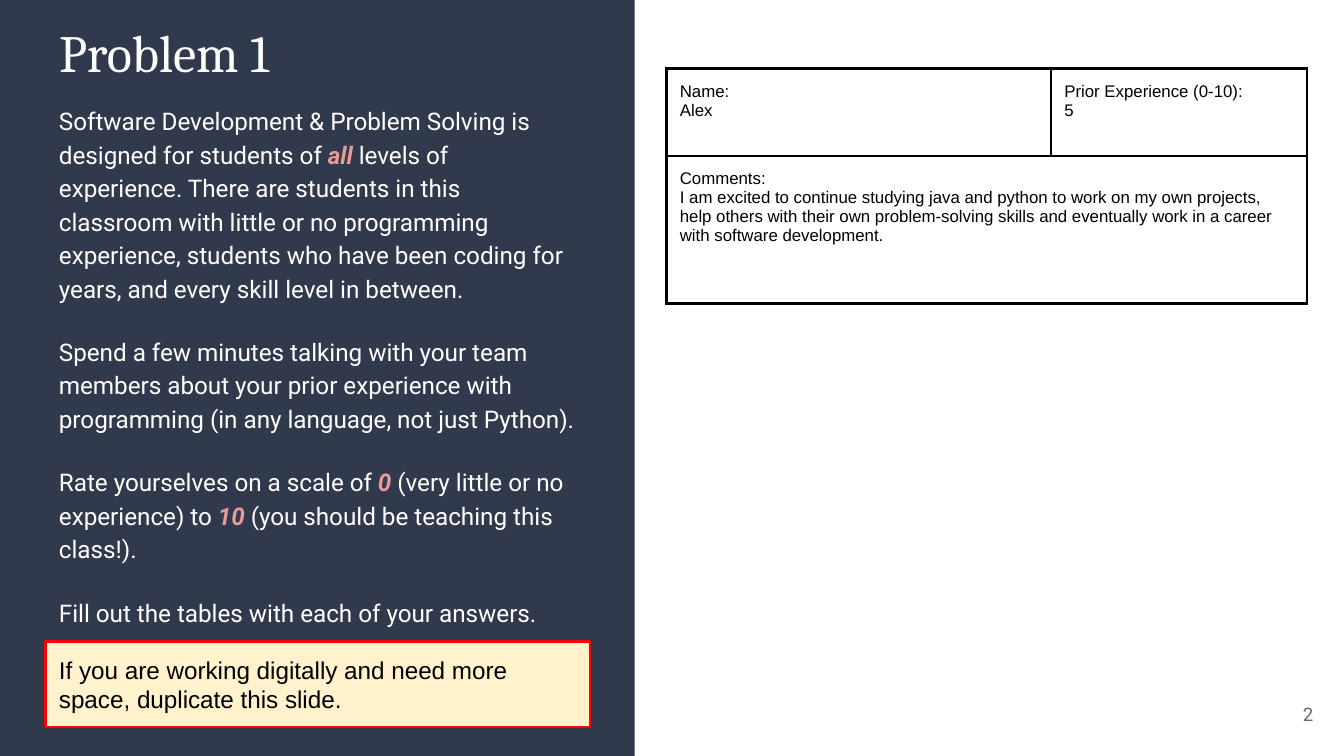
from typing import NamedTuple

from lxml.etree import SubElement
from pptx import Presentation
from pptx.dml.color import RGBColor
from pptx.enum.shapes import MSO_SHAPE
from pptx.enum.text import MSO_ANCHOR, MSO_AUTO_SIZE, PP_ALIGN
from pptx.oxml.ns import qn
from pptx.util import Pt

NAVY, WHITE, BLACK, PINK = "31394D", "FFFFFF", "000000", "EA9999"
INSET = Pt(7.2)
LEFT, WIDE = 24.5, 291.6


class Box(NamedTuple):
    left: float
    top: float
    width: float
    height: float

    def lengths(self) -> list:
        return [Pt(n) for n in self]


class Look(NamedTuple):
    font: str
    size: float
    color: str = WHITE


class Field(NamedTuple):
    row: int
    col: int
    text: str


BODY = Look("Roboto", 13)
CELL = Look("Arial", 9, BLACK)

# Odd pieces of each paragraph are emphasised
PARAS = [
    ["Software Development & Problem Solving is designed for students of ", "all ",
     "levels of experience. There are students in this classroom with little or no "
     "programming experience, students who have been coding for years, and every "
     "skill level in between."],
    ["Spend a few minutes talking with your team members about your prior experience "
     "with programming (in any language, not just Python)."],
    ["Rate yourselves on a scale of ", "0", " (very little or no experience) to ", "10",
     " (you should be teaching this class!)."],
    ["Fill out the tables with each of your answers."],
]

FIELDS = [
    Field(0, 0, "Name:\nAlex"),
    Field(0, 1, "Prior Experience (0-10):\n5"),
    Field(1, 0, "Comments:\nI am excited to continue studying java and python to work on "
                "my own projects, help others with their own problem-solving skills and "
                "eventually work in a career with software development."),
]


def rgb(code: str) -> RGBColor:
    return RGBColor.from_string(code)


def style(font, look: Look, strong: bool = False) -> None:
    font.name, font.size = look.font, Pt(look.size)
    font.bold = font.italic = strong
    font.color.rgb = rgb(PINK if strong else look.color)


def inset(item) -> None:
    item.margin_left = item.margin_right = INSET
    item.margin_top = item.margin_bottom = INSET


def setup(frame, anchor=MSO_ANCHOR.TOP) -> None:
    frame.word_wrap, frame.auto_size = True, MSO_AUTO_SIZE.NONE
    frame.vertical_anchor = anchor
    inset(frame)


def write(frame, text: str, look: Look, align=PP_ALIGN.LEFT) -> None:
    frame.text = text
    for para in frame.paragraphs:
        para.alignment = align
        for run in para.runs:
            style(run.font, look)


def block(slide, box: Box, fill: str, edge: str = ""):
    shape = slide.shapes.add_shape(MSO_SHAPE.RECTANGLE, *box.lengths())
    shape.shadow.inherit = False
    shape.fill.solid()
    shape.fill.fore_color.rgb = rgb(fill)
    if edge:
        shape.line.color.rgb = rgb(edge)
        shape.line.width = Pt(1.5)
    else:
        shape.line.fill.background()
    return shape


def border(cell) -> None:
    props = cell._tc.get_or_add_tcPr()
    for side in ("lnL", "lnR", "lnT", "lnB"):
        line = SubElement(props, qn(f"a:{side}"), w=str(Pt(1.5)))
        fill = SubElement(line, qn("a:solidFill"))
        SubElement(fill, qn("a:srgbClr"), val=BLACK)


def body(slide, box: Box) -> None:
    frame = slide.shapes.add_textbox(*box.lengths()).text_frame
    setup(frame)
    for i, parts in enumerate(PARAS):
        para = frame.add_paragraph() if i else frame.paragraphs[0]
        para.line_spacing = 1.15
        if i:
            para.space_before = Pt(16)
        for j, part in enumerate(parts):
            run = para.add_run()
            run.text = part
            style(run.font, BODY, j % 2 == 1)


def form(slide, box: Box, cols: list[float], rows: list[float]) -> None:
    table = slide.shapes.add_table(len(rows), len(cols), *box.lengths()).table
    table.first_row = table.horz_banding = False
    for col, width in zip(table.columns, cols):
        col.width = Pt(width)
    for row, height in zip(table.rows, rows):
        row.height = Pt(height)
    for cell in table.iter_cells():
        border(cell)
        cell.fill.background()
        inset(cell)
    table.cell(1, 0).merge(table.cell(1, 1))
    for row, col, text in FIELDS:
        write(table.cell(row, col).text_frame, text, CELL)


def main() -> None:
    deck = Presentation()
    deck.slide_width, deck.slide_height = Pt(720), Pt(405)
    slide = deck.slides.add_slide(deck.slide_layouts[5])

    # Title over the dark panel
    title = slide.shapes.title
    title.left, title.top, title.width, title.height = Box(LEFT, 3.6, WIDE, 50.4).lengths()
    setup(title.text_frame)
    write(title.text_frame, "Problem 1", Look("Cambria", 28))
    panel = block(slide, Box(0, 0, 340, 405), NAVY)
    title.element.addprevious(panel.element)

    # Page number
    page = slide.shapes.add_textbox(*Box(667.5, 367.2, 43.2, 31).lengths()).text_frame
    setup(page, MSO_ANCHOR.MIDDLE)
    write(page, "2", Look("Roboto", 10, "666666"), PP_ALIGN.RIGHT)

    # Instructions, answer form and note
    body(slide, Box(LEFT, 47.5, WIDE, 296))
    form(slide, Box(357, 36.7, 343.2, 126), [206, 137.2], [46.8, 79.2])
    note = block(slide, Box(LEFT, 343.5, WIDE, 46), "FFF2CC", "FF0000").text_frame
    setup(note, MSO_ANCHOR.MIDDLE)
    write(note, "If you are working digitally and need more space, duplicate this slide.",
          Look("Arial", 13, BLACK))

    deck.save("out.pptx")


if __name__ == "__main__":
    main()
